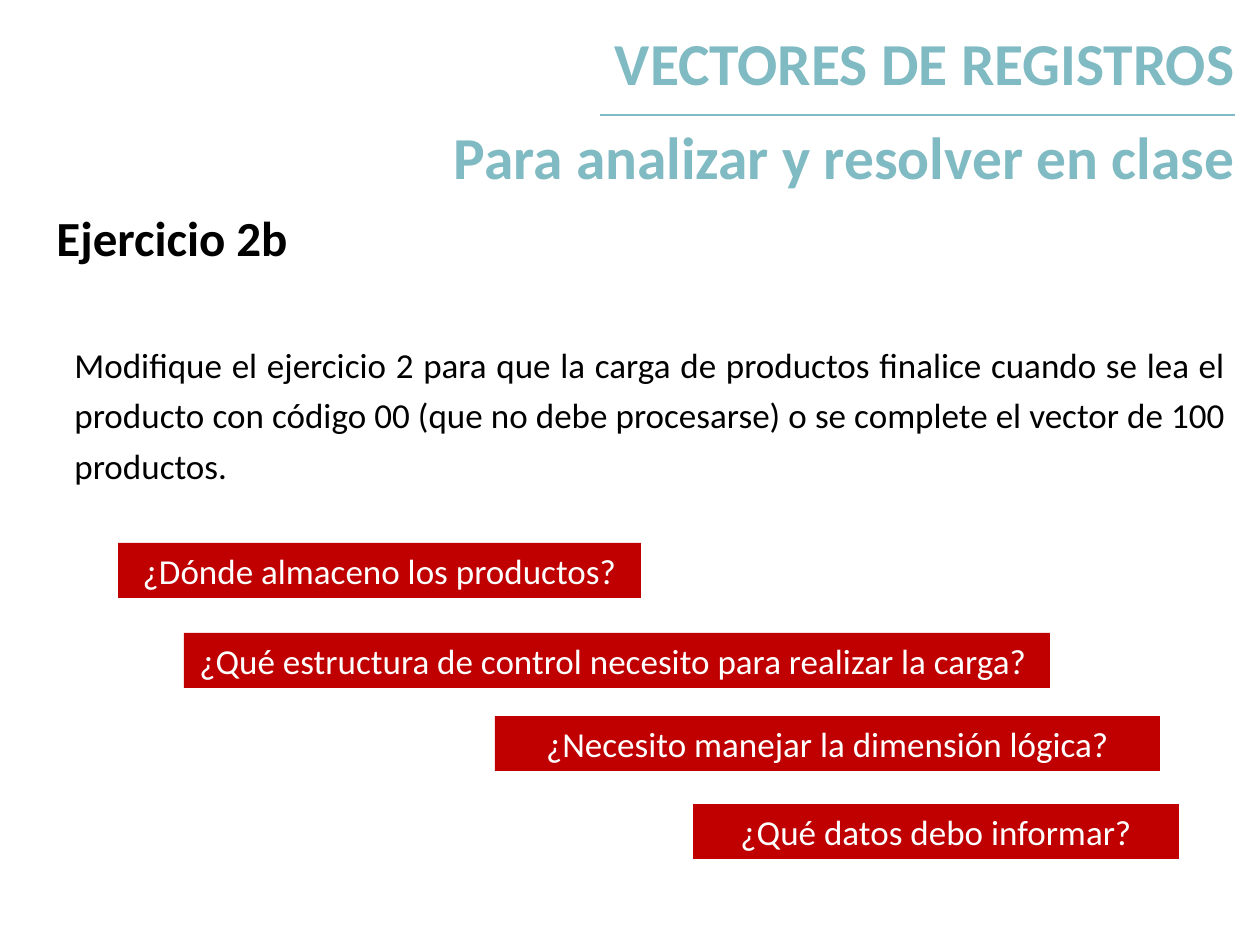
from lxml.etree import SubElement
from pptx import Presentation
from pptx.dml.color import RGBColor
from pptx.enum.shapes import MSO_CONNECTOR as Connector, MSO_SHAPE as Shape
from pptx.enum.text import MSO_ANCHOR as Anchor, PP_ALIGN as Align
from pptx.oxml.ns import qn
from pptx.util import Emu, Pt

TEAL = RGBColor(0x80, 0xBA, 0xC2)
RED = RGBColor(0xC0, 0x00, 0x00)
BLACK = RGBColor(0x00, 0x00, 0x00)
WHITE = RGBColor(0xFF, 0xFF, 0xFF)

PX_PER_INCH = 126
PAGE_WIDTH, PAGE_HEIGHT = 1260, 945
QUESTION_HEIGHT = 55

TITLE_LINES = ["VECTORES DE REGISTROS", "Para analizar y resolver en clase"]
EXERCISE = (
    "Modifique el ejercicio 2 para que la carga de productos finalice cuando "
    "se lea el producto con código 00 (que no debe procesarse) o se complete "
    "el vector de 100 productos."
)
QUESTIONS = [
    ("¿Dónde almaceno los productos?", 118, 543, 523),
    ("¿Qué estructura de control necesito para realizar la carga? ", 184, 633, 866),
    ("¿Necesito manejar la dimensión lógica?", 495, 716, 665),
    ("¿Qué datos debo informar?", 693, 804, 486),
]


def px(length):
    return Emu(round(length * 914400 / PX_PER_INCH))


def apply(target, values):
    for name, value in values.items():
        setattr(target, name, value)


class SlideBuilder:
    font_name = "Calibri"

    def __init__(self, deck):
        self.page = deck.slides.add_slide(deck.slide_layouts[6])

    def fill_text(self, box, lines, size, color, bold=False, frame=None, gap=0, **layout):
        text = box.text_frame
        apply(text, {"word_wrap": True, **(frame or {})})
        for index, line in enumerate(lines):
            para = text.paragraphs[0] if index == 0 else text.add_paragraph()
            apply(para, layout)
            if index:
                para.space_before = Pt(gap)
            span = para.add_run()
            span.text = line
            apply(span.font, {"name": self.font_name, "size": Pt(size), "bold": bold})
            span.font.color.rgb = color

    def text(self, place, lines, size, color, **style):
        box = self.page.shapes.add_textbox(*map(px, place))
        self.fill_text(box, lines, size, color, **style)

    def question(self, line, left, top, width):
        place = map(px, (left, top, width, QUESTION_HEIGHT))
        box = self.page.shapes.add_shape(Shape.RECTANGLE, *place)
        box.shadow.inherit = False
        box.fill.solid()
        box.fill.fore_color.rgb = RED
        box.line.fill.background()
        self.fill_text(box, [line], 20, WHITE, alignment=Align.CENTER,
                       frame={"vertical_anchor": Anchor.TOP})

    def rule(self, left, right, top):
        ends = map(px, (left, top, right, top))
        line = self.page.shapes.add_connector(Connector.STRAIGHT, *ends)
        line.line.color.rgb = TEAL
        line.line.width = Pt(0.75)
        SubElement(line._element.spPr, qn("a:effectLst"))


def main():
    deck = Presentation()
    apply(deck, {"slide_width": px(PAGE_WIDTH), "slide_height": px(PAGE_HEIGHT)})
    builder = SlideBuilder(deck)
    builder.text((113, 28, 1134, 147), TITLE_LINES, 34, TEAL, bold=True,
                 alignment=Align.RIGHT, line_spacing=0.9, gap=17)
    builder.rule(600, 1235, 115)
    builder.text((44, 188, 1176, 91), ["Ejercicio 2b"], 28, BLACK, bold=True,
                 frame={"vertical_anchor": Anchor.BOTTOM, "margin_bottom": px(13)})
    builder.text((62, 329, 1176, 165), [EXERCISE], 20, BLACK,
                 alignment=Align.JUSTIFY, line_spacing=1.2)
    for question in QUESTIONS:
        builder.question(*question)
    deck.save("out.pptx")


if __name__ == "__main__":
    main()
